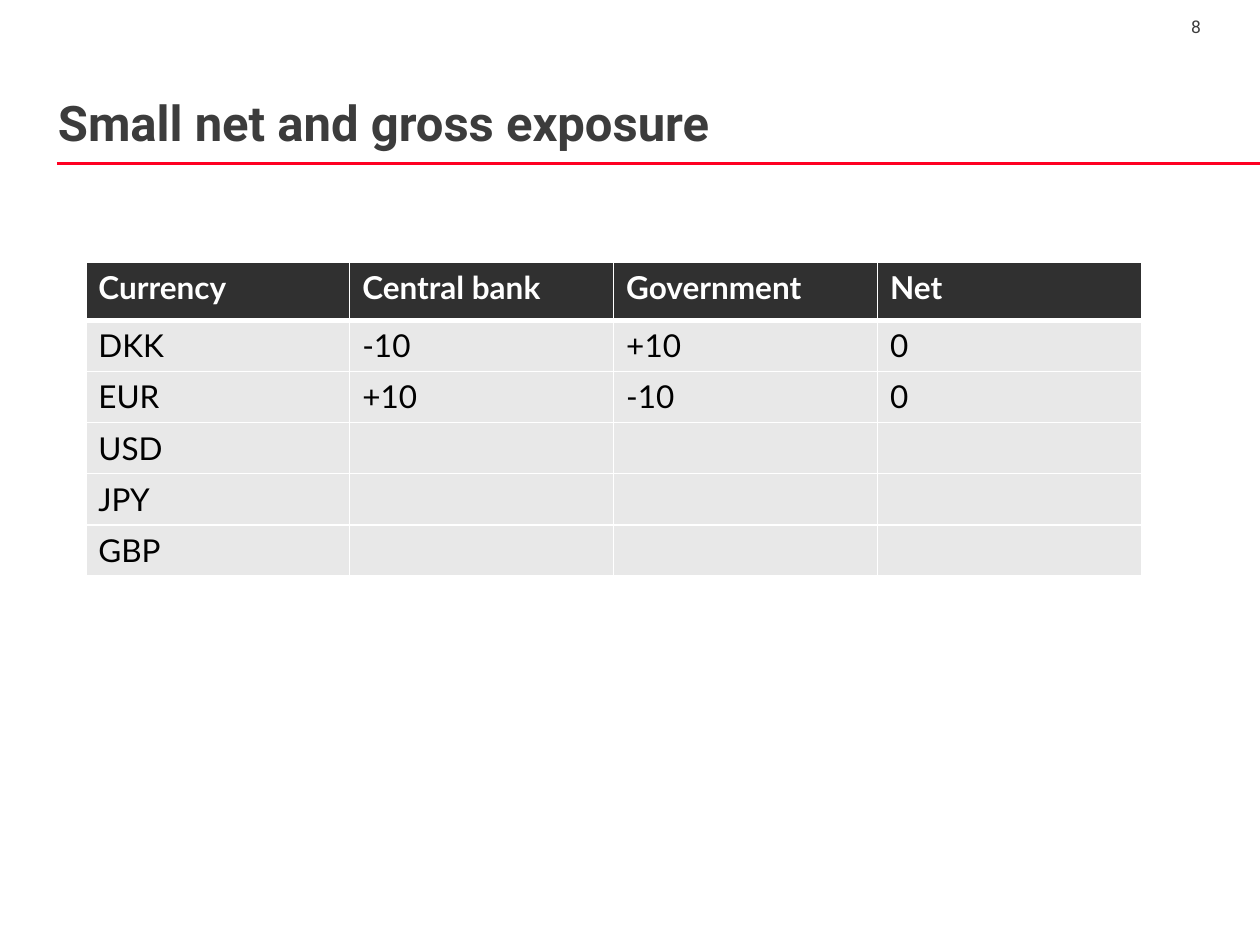
from lxml import etree
from pptx import Presentation
from pptx.dml.color import RGBColor
from pptx.enum.shapes import MSO_CONNECTOR
from pptx.enum.text import MSO_ANCHOR, PP_ALIGN
from pptx.oxml.ns import qn
from pptx.util import Cm, Pt

STRAIGHT = MSO_CONNECTOR.STRAIGHT
LEFT, RIGHT = PP_ALIGN.LEFT, PP_ALIGN.RIGHT
TOP, BOTTOM = MSO_ANCHOR.TOP, MSO_ANCHOR.BOTTOM

RED = RGBColor(0xFF, 0x00, 0x22)
GREY = RGBColor(0x3C, 0x3C, 0x3C)
DARK = RGBColor(0x30, 0x30, 0x30)
LIGHT = RGBColor(0xE8, 0xE8, 0xE8)
WHITE = RGBColor(0xFF, 0xFF, 0xFF)
BLACK = RGBColor(0x00, 0x00, 0x00)

TITLE = "Small net and gross exposure"
PAGE_NUMBER = "8"
EXPOSURES = [
    ("Currency", "Central bank", "Government", "Net"),
    ("DKK", "-10", "+10", "0"),
    ("EUR", "+10", "-10", "0"),
    ("USD", "", "", ""),
    ("JPY", "", "", ""),
    ("GBP", "", "", ""),
]
COLUMN_WIDTH, HEADER_HEIGHT, ROW_HEIGHT = 5.32, 1.17, 1.03


def add_run(p, text, font, size, color, bold=False):
    r = p.add_run()
    r.text = text
    r.font.name = font
    r.font.size = Pt(size)
    r.font.color.rgb = color
    r.font.bold = bold


def add_text(s, box, text, size, bold=False, align=LEFT, anchor=TOP):
    tf = s.shapes.add_textbox(*map(Cm, box)).text_frame
    tf.word_wrap = True
    tf.vertical_anchor = anchor
    tf.margin_left = tf.margin_top = tf.margin_right = tf.margin_bottom = 0
    p = tf.paragraphs[0]
    p.alignment = align
    add_run(p, text, "Roboto", size, GREY, bold)
    return p


def set_borders(cell, bottom):
    """Give the cell white borders, 1 pt wide except for the bottom one."""
    tcPr = cell._tc.get_or_add_tcPr()
    widths = {"a:lnL": 1, "a:lnR": 1, "a:lnT": 1, "a:lnB": bottom}
    for i, (tag, width) in enumerate(widths.items()):
        ln = etree.Element(qn(tag), w=str(Pt(width)))
        fill = etree.SubElement(ln, qn("a:solidFill"))
        etree.SubElement(fill, qn("a:srgbClr"), val=str(WHITE))
        tcPr.insert(i, ln)


def add_exposure_table(s, left, top):
    rows, cols = len(EXPOSURES), len(EXPOSURES[0])
    height = HEADER_HEIGHT + (rows - 1) * ROW_HEIGHT
    table = s.shapes.add_table(rows, cols, Cm(left), Cm(top),
                               Cm(cols * COLUMN_WIDTH), Cm(height)).table
    for column in table.columns:
        column.width = Cm(COLUMN_WIDTH)
    for i, values in enumerate(EXPOSURES):
        header = i == 0
        table.rows[i].height = Cm(HEADER_HEIGHT if header else ROW_HEIGHT)
        for j, value in enumerate(values):
            cell = table.cell(i, j)
            cell.fill.solid()
            cell.fill.fore_color.rgb = DARK if header else LIGHT
            set_borders(cell, 3 if header else 1)
            if value:
                add_run(cell.text_frame.paragraphs[0], value, "Lato", 18,
                        WHITE if header else BLACK, header)


def main():
    prs = Presentation()
    prs.slide_width, prs.slide_height = Cm(25.4), Cm(19.05)
    s = prs.slides.add_slide(prs.slide_layouts[6])

    rule = s.shapes.add_connector(STRAIGHT, Cm(1.15), Cm(3.3), Cm(25.4), Cm(3.3))
    rule.line.color.rgb = RED
    rule.line.width = Pt(1.5)
    etree.SubElement(rule._element.spPr, qn("a:effectLst"))

    title = add_text(s, (1.17, 0.81, 23.04, 2.26), TITLE, 28, True, anchor=BOTTOM)
    title.line_spacing = 0.95
    add_text(s, (18.62, 0.33, 5.59, 0.71), PAGE_NUMBER, 10, align=RIGHT)
    add_exposure_table(s, 1.73, 5.29)
    prs.save("out.pptx")


if __name__ == "__main__":
    main()
